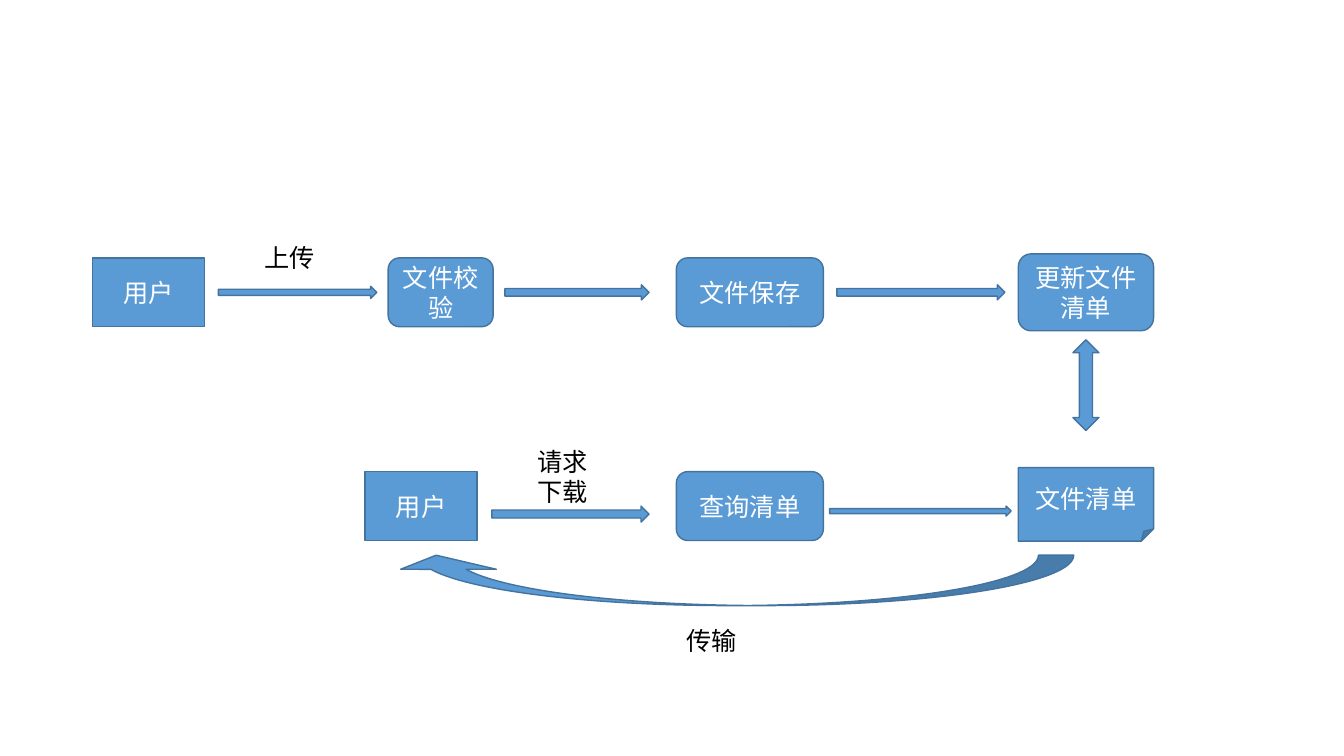
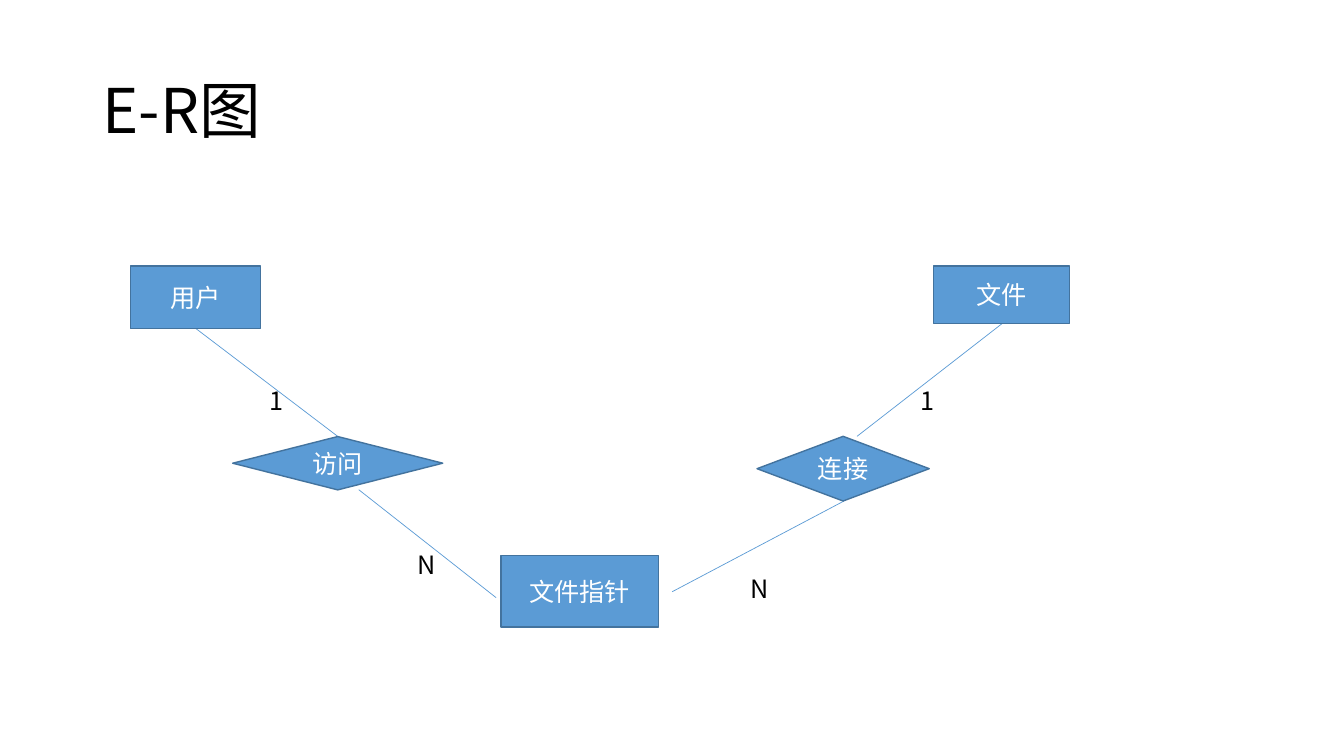
"""Builds a file-transfer flow chart and an E-R diagram on a 32 by 18 grid."""
from pptx import Presentation, util as u
from pptx.dml.color import RGBColor
from pptx.enum import shapes, text
from pptx.oxml.ns import qn
from lxml import etree

FONT = "Noto Sans CJK SC"
BLUE, EDGE, WHITE, BLACK = "5B9BD5", "43739E", "FFFFFF", "000000"
M, A = shapes.MSO_SHAPE, text.PP_ALIGN

prs = Presentation()
prs.slide_width, prs.slide_height = u.Inches(13.33), u.Inches(7.5)
CELL = prs.slide_height / 18


def rgb(color):
    return RGBColor.from_string(color)


def write(sp, words, size=18, color=BLACK, align=A.LEFT, anchor=text.MSO_ANCHOR.TOP, spacing=1.0):
    tf = sp.text_frame
    tf.word_wrap = True
    tf.vertical_anchor = anchor
    p = tf.paragraphs[0]
    p.alignment, p.line_spacing = align, spacing
    r = p.add_run()
    r.text = words
    r.font.name, r.font.size = FONT, u.Pt(size)
    r.font.color.rgb = rgb(color)
    etree.SubElement(r.font._element, qn("a:ea"), typeface=FONT)


TOP, BOTTOM = 6.96, 12.05
flow = [
    (M.RECTANGLE, 2.2, TOP, 2.67, 1.64, "用户"),
    (M.RIGHT_ARROW, 5.2, TOP, 3.77, 0.29, ""),
    (None, 6.05, 6.12, 2.9, 0.96, "上传"),
    (M.ROUNDED_RECTANGLE, 9.24, TOP, 2.5, 1.64, "文件校验"),
    (M.RIGHT_ARROW, 12.02, TOP, 3.43, 0.36, ""),
    (M.ROUNDED_RECTANGLE, 16.1, TOP, 3.5, 1.64, "文件保存"),
    (M.RIGHT_ARROW, 19.92, TOP, 4, 0.36, ""),
    (M.ROUNDED_RECTANGLE, 24.24, TOP, 3.22, 1.83, "更新文件清单"),
    (M.RECTANGLE, 8.69, BOTTOM, 2.67, 1.64, "用户"),
    (M.RIGHT_ARROW, 11.71, 12.24, 3.74, 0.38, ""),
    (None, 12.55, 11.36, 2.04, 1.7, "请求下载"),
    (M.FOLDED_CORNER, 24.24, 12.01, 3.22, 1.75, "文件清单"),
    (M.UP_DOWN_ARROW, 25.54, 9.17, 0.62, 2.16, ""),
    (M.ROUNDED_RECTANGLE, 16.1, BOTTOM, 3.5, 1.64, "查询清单"),
    (M.RIGHT_ARROW, 19.75, 12.17, 4.32, 0.24, ""),
    (M.CURVED_LEFT_ARROW, 16.8, 13.82, 1.2, 16.32, ""),
    (None, 16.1, 15.24, 3, 0.96, "传输"),
]
relations = [
    (M.RECTANGLE, 3.1, 7.08, 3.1, 1.49, "用户"),
    (M.FLOWCHART_DECISION, 5.54, 11.03, 5, 1.27, "访问"),
    (M.RECTANGLE, 11.93, 14.08, 3.74, 1.7, "文件指针"),
    (M.RECTANGLE, 22.22, 7.02, 3.24, 1.37, "文件"),
    (M.FLOWCHART_DECISION, 18.02, 11.16, 4.1, 1.54, "连接"),
    (None, 6.19, 9.53, 1.13, 0.96, "1"),
    (None, 17.62, 14.02, 1.06, 0.96, "N"),
    (None, 9.7, 13.44, 0.84, 0.96, "N"),
    (None, 21.67, 9.53, 1.13, 0.96, "1"),
]
links = [
    (4.66, 7.82, 8.04, 10.39),
    (8.54, 11.66, 11.81, 14.23),
    (16, 14.09, 20.09, 11.93),
    (20.4, 10.39, 23.86, 7.7),
]

flow_slide = prs.slides.add_slide(prs.slide_layouts[6])
er_slide = prs.slides.add_slide(prs.slide_layouts[5])

title = er_slide.shapes.title
title.left, title.top, title.width, title.height = [int(n * CELL) for n in (2.2, 0.96, 27.6, 3.48)]
write(title, "E-R图", size=44, anchor=text.MSO_ANCHOR.MIDDLE, spacing=0.9)

for link in links:
    ln = er_slide.shapes.add_connector(shapes.MSO_CONNECTOR.STRAIGHT, *[int(n * CELL) for n in link])
    ln.line.color.rgb, ln.line.width = rgb(BLUE), u.Pt(0.5)
    etree.SubElement(ln._element.spPr, qn("a:effectLst"))

for s, items in ((flow_slide, flow), (er_slide, relations)):
    for kind, left, middle, width, height, words in items:
        box = [int(n * CELL) for n in (left, middle - height / 2, width, height)]
        if kind is None:
            write(s.shapes.add_textbox(*box), words)
            continue
        sp = s.shapes.add_shape(kind, *box)
        sp.shadow.inherit = False
        sp.fill.solid()
        sp.fill.fore_color.rgb = rgb(BLUE)
        sp.line.color.rgb, sp.line.width = rgb(EDGE), u.Pt(1)
        if words:
            write(sp, words, color=WHITE, align=A.CENTER, anchor=text.MSO_ANCHOR.MIDDLE)
        if kind == M.CURVED_LEFT_ARROW:
            sp.rotation = 90
            for i, value in enumerate((0.7, 1.9, 0.28)):
                sp.adjustments[i] = value

prs.save("out.pptx")
